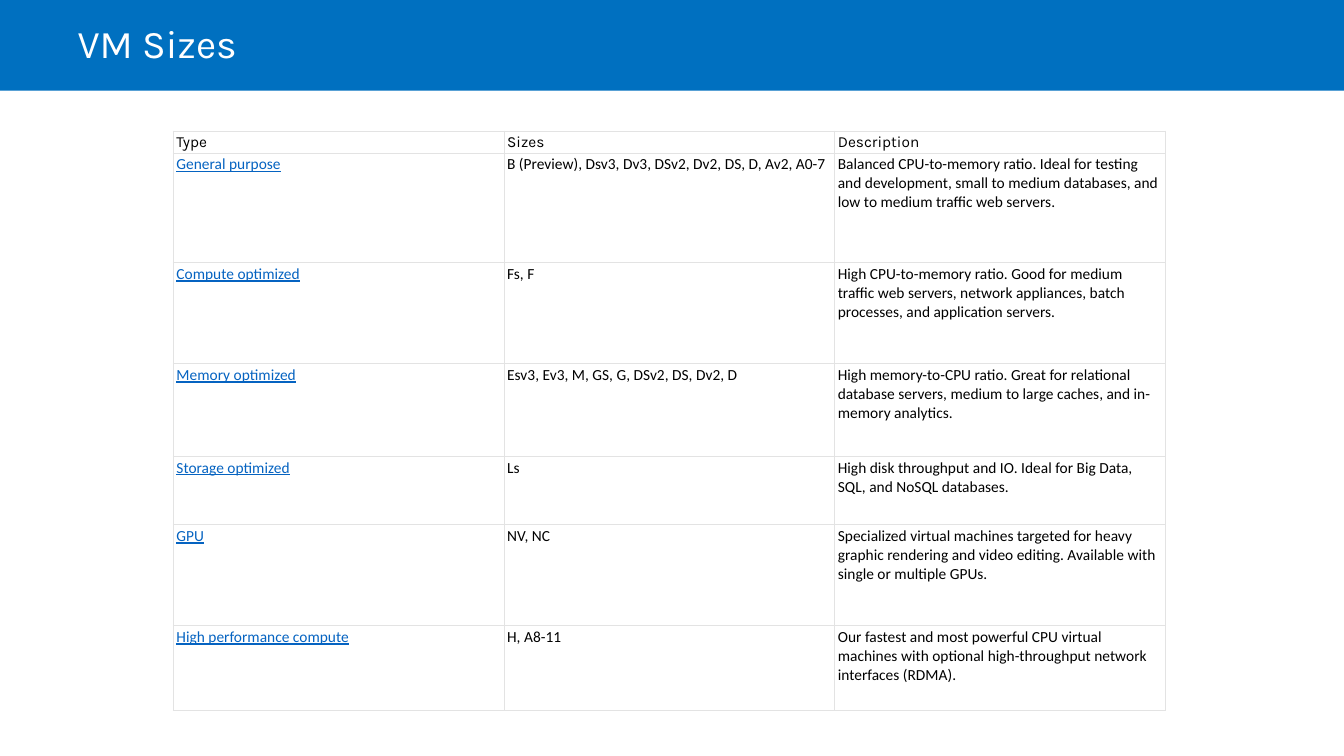
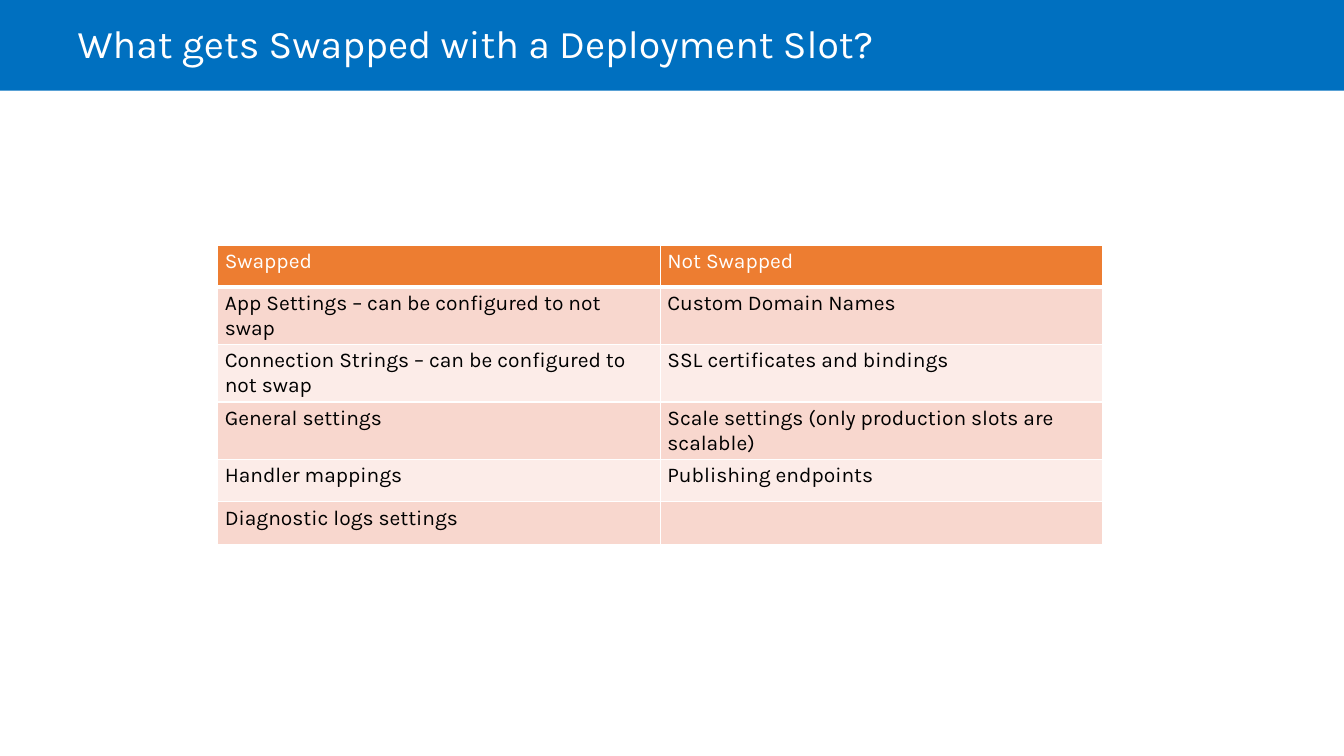
"""Build two table slides on virtual machine sizes and deployment slots."""
import dataclasses

import pptx
import pptx.dml.color
import pptx.enum.shapes
import pptx.enum.text
import pptx.oxml
import pptx.oxml.ns
import pptx.util

Inches = pptx.util.Inches
Pt = pptx.util.Pt
color = pptx.dml.color.RGBColor.from_string


@dataclasses.dataclass(frozen=True)
class Theme:
    band: str = "0070C0"
    white: str = "FFFFFF"
    text: str = "000000"
    link: str = "0563C1"
    grid: str = "E3E3E3"
    header: str = "ED7D31"
    stripes: tuple = ("F8D7CE", "FCECE8")
    brand_font: str = "Karla"
    body_font: str = "Calibri"
    title_size: int = 28
    sizes_size: int = 11
    slots_size: int = 15


theme = Theme()


def add_grid(page, left, top, column_width, row_heights, rows, inset):
    frame = page.shapes.add_table(
        len(rows), len(rows[0]), Inches(left), Inches(top),
        Inches(column_width * len(rows[0])), Inches(sum(row_heights)))
    table = frame.table
    table.horz_banding = False
    for column in table.columns:
        column.width = Inches(column_width)
    for row, height, texts in zip(table.rows, row_heights, rows):
        row.height = Inches(height)
        for cell, text in zip(row.cells, texts):
            cell.text_frame.text = text
            cell.margin_left = cell.margin_right = Inches(inset[0])
            cell.margin_top = cell.margin_bottom = Inches(inset[1])
    return table


def style_cell(cell, fill, line, widths, font_name, size, text_color):
    properties = cell._tc.get_or_add_tcPr()
    for side, width in zip("LRTB", widths):
        properties.append(pptx.oxml.parse_xml(
            f'<a:ln{side} {pptx.oxml.ns.nsdecls("a")} w="{int(Pt(width))}">'
            f'<a:solidFill><a:srgbClr val="{line}"/></a:solidFill></a:ln{side}>'))
    cell.fill.solid()
    cell.fill.fore_color.rgb = color(fill)
    for span in cell.text_frame.paragraphs[0].runs:
        span.font.name = font_name
        span.font.size = Pt(size)
        span.font.bold = False
        span.font.color.rgb = color(text_color)


deck = pptx.Presentation()
deck.slide_width = Inches(13.33)
deck.slide_height = Inches(7.5)
layout = deck.slide_layouts.get_by_name("Title Only")
layout_title = layout.placeholders[0]
layout_title.left, layout_title.top = Inches(0.67), Inches(0)
layout_title.width, layout_title.height = Inches(12), Inches(0.9)

pages = []
for heading in ("VM Sizes", "What gets Swapped with a Deployment Slot?"):
    page = deck.slides.add_slide(layout)
    title = page.shapes.title.text_frame
    title.text = heading
    title.vertical_anchor = pptx.enum.text.MSO_ANCHOR.MIDDLE
    para = title.paragraphs[0]
    para.alignment = pptx.enum.text.PP_ALIGN.LEFT
    para.line_spacing = 0.9
    span = para.runs[0]
    span.font.name = theme.brand_font
    span.font.size = Pt(theme.title_size)
    span.font.color.rgb = color(theme.white)
    pages.append(page)
sizes_page, slots_page = pages

band = sizes_page.shapes.add_shape(
    pptx.enum.shapes.MSO_SHAPE.RECTANGLE, 0, 0, deck.slide_width, Inches(0.9))
band.shadow.inherit = False
band.fill.solid()
band.fill.fore_color.rgb = color(theme.band)
band.line.fill.background()
layout.shapes.element.insert(2, band.element)

size_rows = [
    ("Type", "Sizes", "Description"),
    ("General purpose", "B (Preview), Dsv3, Dv3, DSv2, Dv2, DS, D, Av2, A0-7",
     "Balanced CPU-to-memory ratio. Ideal for testing and development, "
     "small to medium databases, and low to medium traffic web servers."),
    ("Compute optimized", "Fs, F",
     "High CPU-to-memory ratio. Good for medium traffic web servers, "
     "network appliances, batch processes, and application servers."),
    ("Memory optimized", "Esv3, Ev3, M, GS, G, DSv2, DS, Dv2, D",
     "High memory-to-CPU ratio. Great for relational database servers, "
     "medium to large caches, and in-memory analytics."),
    ("Storage optimized", "Ls",
     "High disk throughput and IO. Ideal for Big Data, SQL, and NoSQL databases."),
    ("GPU", "NV, NC",
     "Specialized virtual machines targeted for heavy graphic rendering "
     "and video editing. Available with single or multiple GPUs."),
    ("High performance compute", "H, A8-11",
     "Our fastest and most powerful CPU virtual machines with optional "
     "high-throughput network interfaces (RDMA)."),
]
sizes_table = add_grid(sizes_page, 1.72, 1.3, 3.28,
                       (0.21, 1.09, 1, 0.92, 0.68, 1, 0.84), size_rows, (0.03, 0.02))
for row_index, row in enumerate(sizes_table.rows):
    is_header = row_index == 0
    for column_index, cell in enumerate(row.cells):
        is_link = column_index == 0 and not is_header
        style_cell(cell, theme.white, theme.grid, (1, 1, 0.75, 0.75),
                   theme.brand_font if is_header else theme.body_font,
                   theme.sizes_size, theme.link if is_link else theme.text)
        if is_header:
            cell.vertical_anchor = pptx.enum.text.MSO_ANCHOR.BOTTOM
        if is_link:
            cell.text_frame.paragraphs[0].runs[0].font.underline = True

slot_rows = [
    ("Swapped", "Not Swapped"),
    ("App Settings – can be configured to not swap", "Custom Domain Names"),
    ("Connection Strings – can be configured to not swap",
     "SSL certificates and bindings"),
    ("General settings", "Scale settings (only production slots are scalable)"),
    ("Handler mappings", "Publishing endpoints"),
    ("Diagnostic logs settings", ""),
]
slots_table = add_grid(slots_page, 2.16, 2.43, 4.39,
                       (0.42, 0.57, 0.57, 0.57, 0.42, 0.42), slot_rows, (0.07, 0.04))
for row_index, row in enumerate(slots_table.rows):
    is_header = row_index == 0
    fill = theme.header if is_header else theme.stripes[(row_index - 1) % 2]
    for cell in row.cells:
        style_cell(cell, fill, theme.white, (1, 1, 1, 3 if is_header else 1),
                   theme.brand_font, theme.slots_size,
                   theme.white if is_header else theme.text)

deck.save("out.pptx")
